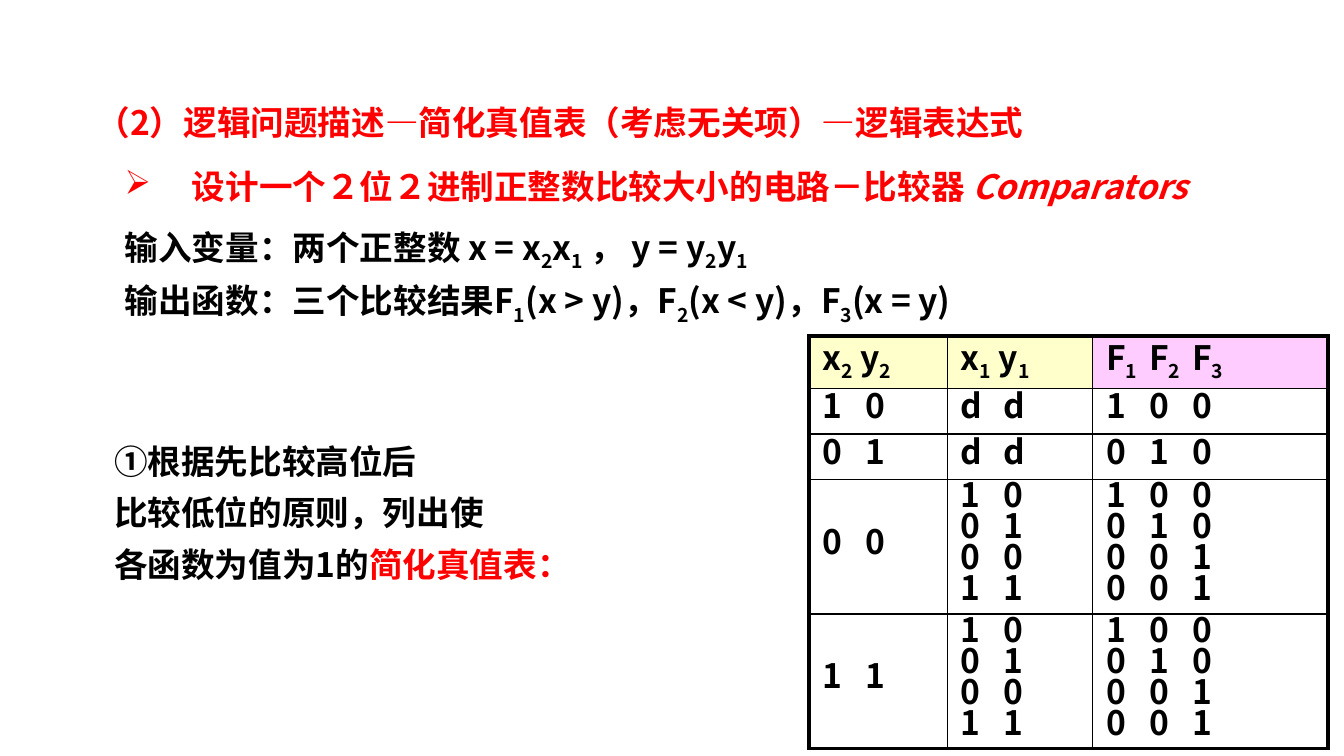
"""Build the comparator slide with its simplified truth table."""
from dataclasses import dataclass
from typing import Any, Optional

import lxml.etree
import pptx
import pptx.dml.color
import pptx.enum.text
import pptx.oxml.ns
import pptx.util

Inches = pptx.util.Inches
Pt = pptx.util.Pt
qn = pptx.oxml.ns.qn

COLORS = {
    "black": "000000",
    "red": "FF0000",
    "white": "FFFFFF",
    "cream": "FFFFCC",
    "pink": "FFCCFF",
}
TEXT_FONT = "Noto Sans CJK JP"
TABLE_FONT = "Noto Sans CJK SC"
TAB_STEP = 0.32
THIN, THICK = 1, 2.25


@dataclass(frozen=True)
class Span:
    text: str
    color: Optional[str] = None
    italic: bool = False


@dataclass(frozen=True)
class Style:
    color: str = "black"
    font: str = TEXT_FONT
    line_spacing: float = 1.0
    space_before: float = 0
    hanging: float = 0
    bullet: str = ""
    tabs: int = 0


@dataclass(frozen=True)
class Block:
    left: float
    top: float
    width: float
    height: float
    lines: list[list[Span]]
    style: Style
    middle: bool = False


def rgb(color: str) -> pptx.dml.color.RGBColor:
    """Return the named palette colour."""
    return pptx.dml.color.RGBColor.from_string(COLORS[color])


def add_span(paragraph: Any, span: Span) -> None:
    """Add a span, lowering each character that follows an underscore."""
    first, *rest = span.text.split("_")
    pieces = [(first, False)]
    for part in rest:
        pieces += [(part[0], True), (part[1:], False)]
    for text, lowered in pieces:
        if not text:
            continue
        run = paragraph.add_run()
        run.text = text
        if lowered:
            run.font._element.set("baseline", "-25000")
        if span.color:
            run.font.color.rgb = rgb(span.color)
        if span.italic:
            run.font.italic = True


def style_paragraph(paragraph: Any, style: Style, first: bool) -> None:
    """Apply spacing, indents, bullet, tabs and font to a paragraph."""
    paragraph.line_spacing = style.line_spacing
    if not first:
        paragraph.space_before = Pt(style.space_before)
    properties = paragraph._p.get_or_add_pPr()
    if style.hanging:
        properties.set("marL", str(Inches(style.hanging)))
        properties.set("indent", str(-Inches(style.hanging)))
    if style.bullet:
        lxml.etree.SubElement(properties, qn("a:buChar"), char=style.bullet)
    if style.tabs:
        stops = lxml.etree.SubElement(properties, qn("a:tabLst"))
        for stop in range(1, style.tabs + 1):
            position = str(Inches(stop * TAB_STEP))
            lxml.etree.SubElement(stops, qn("a:tab"), pos=position, algn="l")
    font = paragraph.font
    font.name, font.size, font.bold = style.font, Pt(18), True
    font.color.rgb = rgb(style.color)
    defaults = properties.find(qn("a:defRPr"))
    lxml.etree.SubElement(defaults, qn("a:ea"), typeface=style.font)


def write_lines(frame: Any, lines: list[list[Span]], style: Style) -> None:
    """Write one paragraph for each line."""
    for index, line in enumerate(lines):
        paragraph = frame.add_paragraph() if index else frame.paragraphs[0]
        style_paragraph(paragraph, style, index == 0)
        for span in line:
            add_span(paragraph, span)


def add_block(slide: Any, block: Block) -> None:
    """Add a wrapped text box."""
    box = slide.shapes.add_textbox(
        Inches(block.left), Inches(block.top), Inches(block.width), Inches(block.height)
    )
    frame = box.text_frame
    frame.word_wrap = True
    anchors = pptx.enum.text.MSO_ANCHOR
    frame.vertical_anchor = anchors.MIDDLE if block.middle else anchors.TOP
    write_lines(frame, block.lines, block.style)


def set_borders(cell: Any, widths: dict[str, float]) -> None:
    """Draw black cell borders of the given widths."""
    properties = cell._tc.get_or_add_tcPr()
    for index, (side, width) in enumerate(widths.items()):
        line = lxml.etree.Element(qn(f"a:ln{side}"), w=str(Pt(width)))
        fill = lxml.etree.SubElement(line, qn("a:solidFill"))
        lxml.etree.SubElement(fill, qn("a:srgbClr"), val=COLORS["black"])
        properties.insert(index, line)


def add_truth_table(slide: Any, rows: list[list[str]]) -> None:
    """Add the truth table with a thick outer frame."""
    widths = [1.03, 1.08, 1.75]
    heights = [0.39, 0.34, 0.34, 1, 1]
    header_fills = ["cream", "cream", "pink"]
    style = Style(font=TABLE_FONT, line_spacing=0.5, space_before=3.6, tabs=2)
    table = slide.shapes.add_table(
        len(rows), len(widths), Inches(6.02), Inches(2.5),
        Inches(sum(widths)), Inches(sum(heights)),
    ).table
    table.first_row = table.horz_banding = False
    for column, width in zip(table.columns, widths):
        column.width = Inches(width)
    for r, (values, height) in enumerate(zip(rows, heights)):
        table.rows[r].height = Inches(height)
        for c, value in enumerate(values):
            cell = table.cell(r, c)
            cell.fill.solid()
            cell.fill.fore_color.rgb = rgb("white" if r else header_fills[c])
            cell.vertical_anchor = pptx.enum.text.MSO_ANCHOR.MIDDLE
            cell.margin_top = cell.margin_bottom = Inches(0.04)
            set_borders(cell, {
                "L": THICK if c == 0 else THIN,
                "R": THICK if c == len(widths) - 1 else THIN,
                "T": THICK if r == 0 else THIN,
                "B": THICK if r == len(rows) - 1 else THIN,
            })
            lines = [[Span(line)] for line in value.split("\n")]
            write_lines(cell.text_frame, lines, style)


LOW_BITS = "1\t0\n0\t1\n0\t0\n1\t1"
LOW_RESULTS = "1\t0\t0\n0\t1\t0\n0\t0\t1\n0\t0\t1"
TRUTH_ROWS = [
    ["x_2 y_2", "x_1 y_1", "F_1\tF_2\tF_3"],
    ["1\t0", "d\td", "1\t0\t0"],
    ["0\t1", "d\td", "0\t1\t0"],
    ["0\t0", LOW_BITS, LOW_RESULTS],
    ["1\t1", LOW_BITS, LOW_RESULTS],
]
TITLE = Block(
    0.62, 0.74, 8.83, 0.56,
    [[Span("（2）逻辑问题描述—简化真值表（考虑无关项）—逻辑表达式")]],
    Style("red", line_spacing=0.9),
)
VARIABLES = Block(
    0.83, 1.67, 7.27, 0.88,
    [[Span("输入变量：两个正整数 x = x_2x_1 ， y = y_2y_1")],
     [Span("输出函数：三个比较结果F_1(x > y)，F_2(x < y)，F_3(x = y)")]],
    Style(line_spacing=0.8, space_before=9, hanging=0.19),
)
PRINCIPLE = Block(
    0.75, 3.28, 4.41, 1.18,
    [[Span("①根据先比较高位后")],
     [Span("比较低位的原则，列出使")],
     [Span("各函数为值为1的"), Span("简化真值表：", "red")]],
    Style(line_spacing=0.85, space_before=9),
)
TASK = Block(
    0.83, 1.14, 8.44, 0.49,
    [[Span("设计一个２位２进制正整数比较大小的电路－比较器 "),
      Span("Comparators", italic=True)]],
    Style("red", hanging=0.5, bullet="➢"),
    middle=True,
)


def main() -> None:
    """Build and save the slide."""
    deck = pptx.Presentation()
    deck.slide_width = Inches(10)
    deck.slide_height = Inches(10 * 9 / 16)
    slide = deck.slides.add_slide(deck.slide_layouts[6])
    for block in (TITLE, VARIABLES, PRINCIPLE):
        add_block(slide, block)
    add_truth_table(slide, TRUTH_ROWS)
    add_block(slide, TASK)
    deck.save("out.pptx")


if __name__ == "__main__":
    main()
